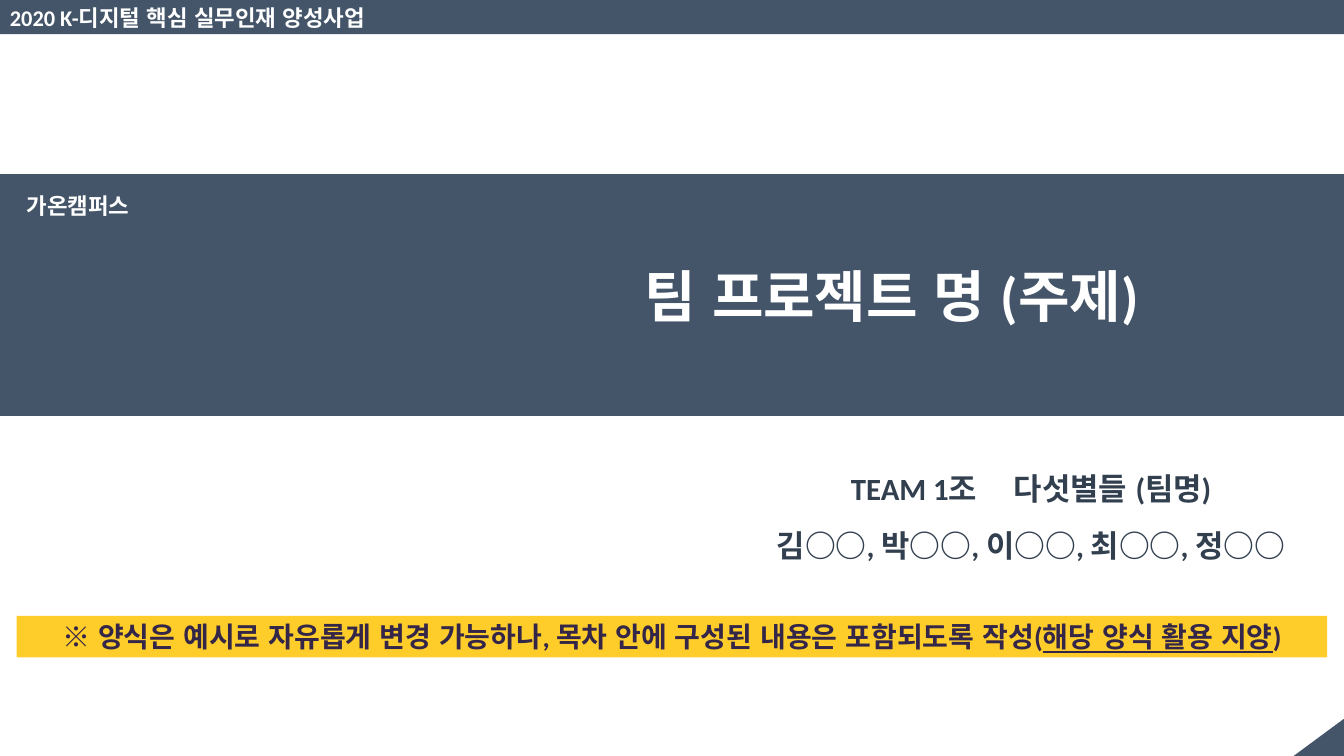
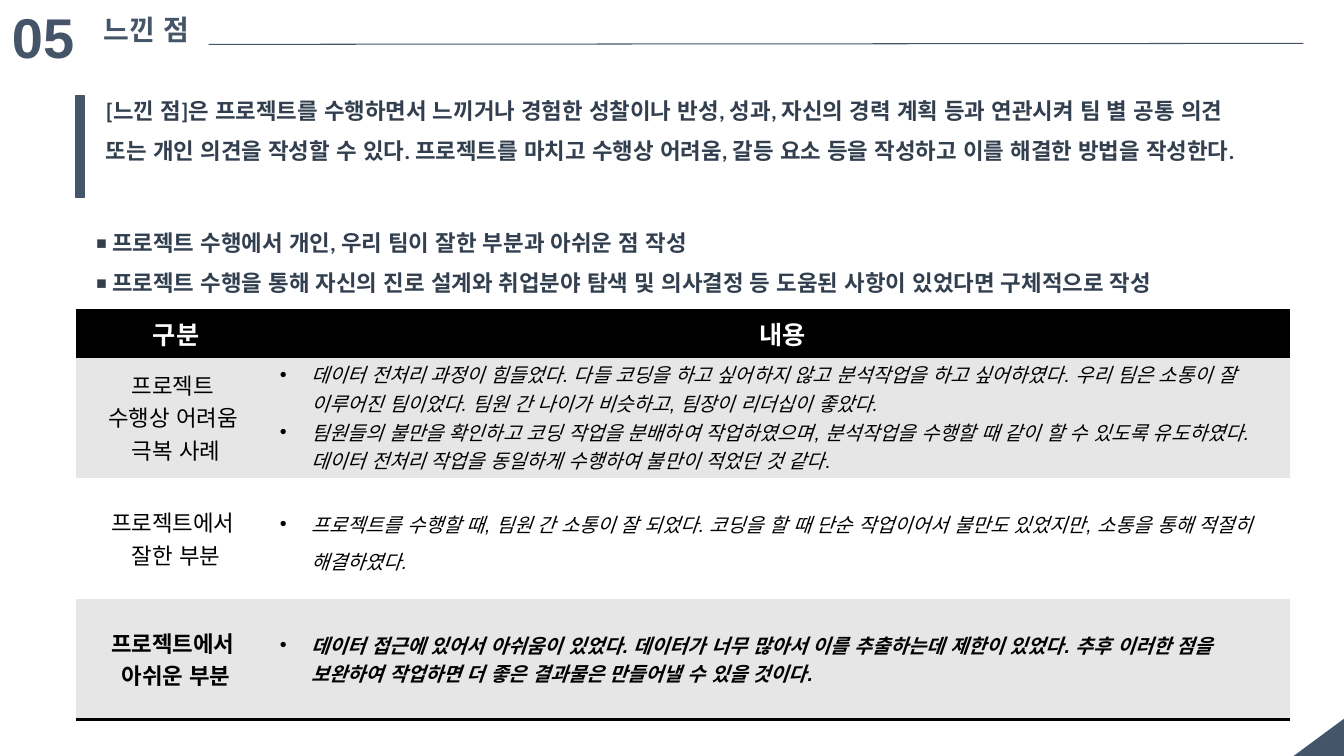
from lxml.etree import SubElement
from pptx import Presentation
from pptx.dml.color import RGBColor
from pptx.enum.lang import MSO_LANGUAGE_ID as Language
from pptx.enum.shapes import MSO_CONNECTOR as Connector, MSO_SHAPE as Shape
from pptx.enum.text import MSO_ANCHOR as Anchor, MSO_AUTO_SIZE as AutoSize, PP_ALIGN as Align
from pptx.oxml.ns import qn
from pptx.util import Pt

# Shared look
WIDTH, HEIGHT = 960, 540
SLATE, INK, WHITE, BLACK = "445569", "323F4F", "FFFFFF", "000000"
YELLOW, PURPLE, GRAY = "FFCD2A", "342648", "E6E6E6"
KOREAN = "Noto Sans CJK KR"
INSETS = (7.2, 3.6, 7.2, 3.6)
FLAT = (7.2, 0, 7.2, 0)
NO_STYLE = "{2D5ABB26-0587-4C30-8999-92F81FD0307C}"

# Content: a paragraph is a string or a list of (text, run format) pairs
PROGRAM = "2020 K-디지털 핵심 실무인재 양성사업"
CAMPUS = "가온캠퍼스"
PROJECT = "팀 프로젝트 명 (주제)"
TEAM = [
    [("TEAM 1조", {}), (" ", {"spacing": 20}), ("다섯별들 (팀명)", {})],
    "김○○, 박○○, 이○○, 최○○, 정○○",
]
NOTICE = [[
    ("※ 양식은 예시로 자유롭게 변경 가능하나, 목차 안에 구성된 내용은 포함되도록 작성(", {}),
    ("해당 양식 활용 지양", {"underline": True}),
    (")", {}),
]]
SECTION_NUMBER, SECTION = "05", "느낀 점"
SUMMARY = ("[느낀 점]은 프로젝트를 수행하면서 느끼거나 경험한 성찰이나 반성, 성과, 자신의 경력 계획 등과 "
           "연관시켜 팀 별 공통 의견 또는 개인 의견을 작성할 수 있다. 프로젝트를 마치고 수행상 어려움, "
           "갈등 요소 등을 작성하고 이를 해결한 방법을 작성한다.")
GUIDES = [
    "프로젝트 수행에서 개인, 우리 팀이 잘한 부분과 아쉬운 점 작성",
    "프로젝트 수행을 통해 자신의 진로 설계와 취업분야 탐색 및 의사결정 등 도움된 사항이 있었다면 구체적으로 작성",
]
HEADERS = ["구분", "내용"]
REVIEWS = [
    (["프로젝트 ", "수행상 어려움 ", "극복 사례"],
     ["데이터 전처리 과정이 힘들었다. 다들 코딩을 하고 싶어하지 않고 분석작업을 하고 싶어하였다. "
      "우리 팀은 소통이 잘 이루어진 팀이었다. 팀원 간 나이가 비슷하고, 팀장이 리더십이 좋았다.",
      "팀원들의 불만을 확인하고 코딩 작업을 분배하여 작업하였으며, 분석작업을 수행할 때 같이 할 수 있도록 "
      "유도하였다. 데이터 전처리 작업을 동일하게 수행하여 불만이 적었던 것 같다."],
     {"fill": GRAY}, {}),
    (["프로젝트에서 ", "잘한 부분"],
     ["프로젝트를 수행할 때, 팀원 간 소통이 잘 되었다. 코딩을 할 때 단순 작업이어서 불만도 있었지만, "
      "소통을 통해 적절히 해결하였다."],
     {"fill": WHITE}, {"line_spacing": 1.3}),
    (["프로젝트에서 ", "아쉬운 부분"],
     ["데이터 접근에 있어서 아쉬움이 있었다. 데이터가 너무 많아서 이를 추출하는데 제한이 있었다. "
      "추후 이러한 점을 보완하여 작업하면 더 좋은 결과물은 만들어낼 수 있을 것이다."],
     {"fill": GRAY, "bold": True, "edges": ["lnB"]}, {}),
]
COLUMNS, HEADER_HEIGHT, ROW_HEIGHT = (142.5, 724.5), 32, 86.4


def color(value):
    return RGBColor.from_string(value)


def paint(shape, fill, line=None):
    shape.shadow.inherit = False
    shape.fill.solid()
    shape.fill.fore_color.rgb = color(fill)
    if line:
        shape.line.color.rgb = color(line)
        shape.line.width = Pt(1)
    else:
        shape.line.fill.background()


def format_run(run, size, ink, font="Calibri", bold=True, italic=False, underline=False, spacing=0):
    run.font.size, run.font.name = Pt(size), font
    run.font.bold, run.font.italic, run.font.underline = bold, italic, underline
    run.font.color.rgb = color(ink)
    run.font.language_id = Language.KOREAN
    properties = run.font._element
    SubElement(properties, qn("a:ea"), typeface=KOREAN)
    if spacing:
        properties.set("spc", str(spacing * 100))


def add_bullet(paragraph, character, indent):
    properties = paragraph._p.get_or_add_pPr()
    properties.set("marL", str(Pt(indent)))
    properties.set("indent", str(-Pt(indent)))
    SubElement(properties, qn("a:buFont"), typeface="Arial")
    SubElement(properties, qn("a:buChar"), char=character)


def write(frame, paragraphs, align=Align.LEFT, line_spacing=1.0, gap=0, bullet=None, **run_format):
    """Fill a text frame; gap is the space between paragraphs."""
    for index, content in enumerate(paragraphs):
        paragraph = frame.paragraphs[0] if index == 0 else frame.add_paragraph()
        paragraph.alignment, paragraph.line_spacing = align, line_spacing
        paragraph.space_before = Pt(gap if index else 0)
        if bullet:
            add_bullet(paragraph, *bullet)
        runs = [(content, {})] if isinstance(content, str) else content
        for text, changes in runs:
            run = paragraph.add_run()
            run.text = text
            format_run(run, **{**run_format, **changes})


def set_margins(target, insets):
    (target.margin_left, target.margin_top,
     target.margin_right, target.margin_bottom) = [Pt(inset) for inset in insets]


def write_shape(shape, paragraphs, insets=INSETS, anchor=Anchor.TOP, **text_format):
    frame = shape.text_frame
    frame.word_wrap, frame.auto_size = True, AutoSize.NONE
    frame.vertical_anchor = anchor
    set_margins(frame, insets)
    write(frame, paragraphs, **text_format)


def add_text(slide, box, paragraphs, **text_format):
    write_shape(slide.shapes.add_textbox(*map(Pt, box)), paragraphs, **text_format)


def add_block(slide, box, fill, line=None, shape_type=Shape.RECTANGLE):
    shape = slide.shapes.add_shape(shape_type, *map(Pt, box))
    paint(shape, fill, line)
    return shape


def add_title(slide, box, text, **text_format):
    title = slide.shapes.title
    title.left, title.top, title.width, title.height = map(Pt, box)
    slide.shapes._spTree.append(title._element)  # bring above the bands
    write_shape(title, [text], **text_format)


def add_slide(presentation):
    slide = presentation.slides.add_slide(presentation.slide_layouts[5])
    wide, high = 36, 26.6  # corner as seen after the quarter turn
    shift = (wide - high) / 2
    corner = add_block(slide, (WIDTH - wide + shift, HEIGHT - high - shift, high, wide),
                       SLATE, shape_type=Shape.RIGHT_TRIANGLE)
    corner.rotation = 270
    return slide


def add_edge(cell, edge):
    properties = cell._tc.get_or_add_tcPr()
    line = SubElement(properties, qn("a:" + edge), w=str(Pt(2)))
    fill = SubElement(line, qn("a:solidFill"))
    SubElement(fill, qn("a:srgbClr"), val=BLACK)


def fill_cell(cell, paragraphs, fill, edges=(), insets=INSETS, **text_format):
    cell.vertical_anchor = Anchor.MIDDLE
    set_margins(cell, insets)
    for edge in edges:
        add_edge(cell, edge)
    cell.fill.solid()
    cell.fill.fore_color.rgb = color(fill)
    write(cell.text_frame, paragraphs, font="Arial", **text_format)


def build_cover(presentation):
    slide = add_slide(presentation)
    add_text(slide, (533.5, 335.5, 406, 70.5), TEAM, insets=FLAT, align=Align.CENTER,
             gap=14, size=22, ink=INK)
    write_shape(add_block(slide, (0, 0, WIDTH, 24.5), SLATE), [PROGRAM],
                anchor=Anchor.MIDDLE, size=16, ink=WHITE)
    write_shape(add_block(slide, (12, 440, 936, 29.5), YELLOW), NOTICE,
                anchor=Anchor.MIDDLE, align=Align.CENTER, size=20, ink=PURPLE)
    add_block(slide, (0, 124.5, WIDTH, 172.5), SLATE, SLATE)
    add_title(slide, (314, 186.5, 646, 48), PROJECT, insets=FLAT, align=Align.CENTER,
              size=40, ink=WHITE)
    add_text(slide, (12, 134, 207, 26.5), [CAMPUS], font=KOREAN, size=16, ink=WHITE)


def build_reflections(presentation):
    slide = add_slide(presentation)

    # Heading
    add_text(slide, (1.5, -2, 91.5, 55.5), [SECTION_NUMBER], font="Arial", size=40, ink=SLATE)
    add_title(slide, (67, 5, 82, 31.5), SECTION, size=20, ink=SLATE)
    rule = slide.shapes.add_connector(Connector.STRAIGHT, Pt(149), Pt(31.7), Pt(931), Pt(31))
    rule.line.color.rgb, rule.line.width = color(SLATE), Pt(0.75)
    SubElement(rule._element.spPr, qn("a:effectLst"))

    # Guidance
    body = {"line_spacing": 1.5, "size": 16, "ink": INK}
    add_text(slide, (68.5, 56, 839, 91), [SUMMARY], **body)
    add_text(slide, (61.5, 150.5, 854.5, 65.5), GUIDES, bullet=("◾", 11.5), **body)
    add_block(slide, (54, 68.5, 6.5, 72.5), SLATE, SLATE)

    # Review table
    frame = slide.shapes.add_table(len(REVIEWS) + 1, len(COLUMNS), Pt(54.5), Pt(221.5),
                                   Pt(sum(COLUMNS)), Pt(HEADER_HEIGHT + ROW_HEIGHT * len(REVIEWS)))
    table = frame.table
    table._tbl.tblPr.find(qn("a:tableStyleId")).text = NO_STYLE
    for column, width in zip(table.columns, COLUMNS):
        column.width = Pt(width)
    for index, row in enumerate(table.rows):
        row.height = Pt(ROW_HEIGHT if index else HEADER_HEIGHT)
    for index, header in enumerate(HEADERS):
        fill_cell(table.cell(0, index), [header], BLACK, edges=["lnT", "lnB"],
                  align=Align.CENTER, size=18, ink=WHITE)
    for index, (topic, remarks, row_format, remark_format) in enumerate(REVIEWS, 1):
        shared = {"bold": False, "ink": BLACK, **row_format}
        fill_cell(table.cell(index, 0), topic, align=Align.CENTER, size=16, **shared)
        fill_cell(table.cell(index, 1), remarks, insets=(3, 0, 0, 0), bullet=("•", 22.5),
                  size=14, italic=True, **shared, **remark_format)


def main():
    presentation = Presentation()
    presentation.slide_width, presentation.slide_height = Pt(WIDTH), Pt(HEIGHT)
    build_cover(presentation)
    build_reflections(presentation)
    presentation.save("out.pptx")


if __name__ == "__main__":
    main()
